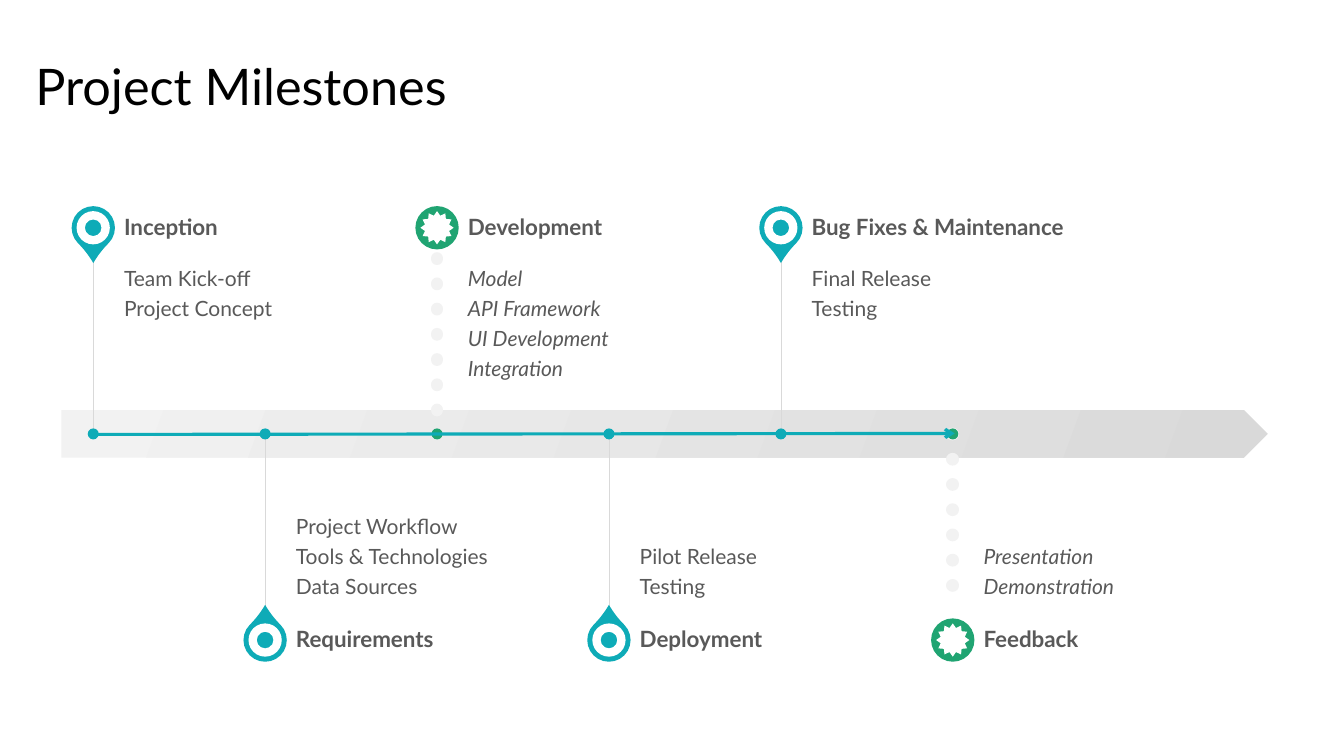
from pptx import Presentation, util as u
from pptx.dml.color import RGBColor
from pptx.enum import dml, shapes, text
from pptx.oxml import parse_xml
from pptx.oxml.ns import nsdecls

TEAL, GREEN, WHITE, GREY = "0EABB7", "20A472", "FFFFFF", "595959"
PALE, SILVER = "F2F2F2", "D9D9D9"
FONT = "Lato"
SHAPE, ANCHOR = shapes.MSO_SHAPE, text.MSO_ANCHOR

# Timeline grid: one column per milestone, rows mirrored about the axis
AXIS, FIRST, STEP = 4.305, 0.925, 1.705
BODY_H, HEAD_H, TEXT_W, TEXT_GAP = 1.74, 0.61, 2.82, 0.305
PIN, HOLE, DOT = 0.43, 0.33, 0.11

milestones = [
    ("Inception", ["Team Kick-off", "Project Concept"], False),
    ("Requirements", ["Project Workflow", "Tools & Technologies", "Data Sources"], False),
    ("Development", ["Model", "API Framework", "UI Development", "Integration"], True),
    ("Deployment", ["Pilot Release", "Testing"], False),
    ("Bug Fixes & Maintenance", ["Final Release", "Testing"], False),
    ("Feedback", ["Presentation", "Demonstration"], True),
]

deck = Presentation()
deck.slide_width, deck.slide_height = u.Inches(13.33), u.Inches(7.5)
slide = deck.slides.add_slide(deck.slide_layouts[5])


def rgb(value):
    return RGBColor.from_string(value)


def inches(*lengths):
    return [u.Inches(length) for length in lengths]


# Title
title = slide.shapes.title
title.left, title.top, title.width, title.height = inches(0.25, 0.16, 11.5, 1.45)
title.text_frame.text = "Project Milestones"
title.text_frame.auto_size = text.MSO_AUTO_SIZE.NONE
title.text_frame.vertical_anchor = ANCHOR.MIDDLE
heading = title.text_frame.paragraphs[0]
heading.alignment, heading.line_spacing = text.PP_ALIGN.LEFT, 0.9
heading.font.name, heading.font.size = FONT, u.Pt(36)
heading.font.color.rgb = rgb("000000")

# Arrow band behind the axis
band = slide.shapes.add_shape(SHAPE.PENTAGON, *inches(0.61, 4.07, 11.96, 0.47))
band.shadow.inherit = False
band.line.fill.background()
band.fill.gradient()
band.fill.gradient_angle = 340
for stop, shade in zip(band.fill.gradient_stops, (PALE, SILVER)):
    stop.color.rgb = rgb(shade)

# Milestones, alternately above and below the axis
connectors = []
for column, (name, tasks, starred) in enumerate(milestones):
    above = column % 2 == 0
    side = -1 if above else 1
    x = FIRST + column * STEP
    head_y = AXIS + side * (BODY_H + HEAD_H / 2)
    body_top = AXIS - BODY_H if above else AXIS
    accent = GREEN if starred else TEAL

    # Stem, drawn as round dots for starred milestones
    stem = slide.shapes.add_connector(
        shapes.MSO_CONNECTOR.STRAIGHT, *inches(x, body_top, x, body_top + BODY_H))
    stem.line.color.rgb = rgb(PALE if starred else SILVER)
    stem.line.width = u.Pt(9 if starred else 0.25)
    if starred:
        stem.line.dash_style = dml.MSO_LINE.ROUND_DOT
        stem.line._get_or_add_ln().set("cap", "rnd")
    connectors.append(stem)

    # Pin, its centre and the dot on the axis
    marks = [
        (SHAPE.OVAL if starred else SHAPE.TEAR, head_y, PIN, accent),
        (SHAPE.STAR_12_POINT if starred else SHAPE.DONUT, head_y, HOLE, WHITE),
        (SHAPE.OVAL, AXIS, DOT, accent),
    ]
    for kind, y, size, color in marks:
        mark = slide.shapes.add_shape(
            kind, *inches(x - size / 2, y - size / 2, size, size))
        mark.shadow.inherit = False
        mark.fill.solid()
        mark.fill.fore_color.rgb = rgb(color)
        mark.line.fill.background()
        if kind == SHAPE.TEAR:
            mark.adjustments[0] = 1.15
            mark.rotation = 135 if above else 315

    # Task list and name
    task_anchor = ANCHOR.TOP if above else ANCHOR.BOTTOM
    task_insets = (0, 0.1, 0.1, 0.16) if above else (0, 0.16, 0, 0.1)
    labels = [
        (tasks, body_top, BODY_H, task_anchor, task_insets, 15, False, starred),
        ([name], head_y - HEAD_H / 2, HEAD_H, ANCHOR.MIDDLE, (0, 0, 0.11, 0), 16, True, False),
    ]
    for lines, top, height, anchor, insets, size, bold, italic in labels:
        box = slide.shapes.add_textbox(*inches(x + TEXT_GAP, top, TEXT_W, height))
        frame = box.text_frame
        frame.text = "\n".join(lines)
        frame.word_wrap = True
        frame.vertical_anchor = anchor
        (frame.margin_left, frame.margin_top,
         frame.margin_right, frame.margin_bottom) = inches(*insets)
        for paragraph in frame.paragraphs:
            paragraph.line_spacing = 0.9
            paragraph.space_after = u.Pt(0.35 * size)
            for run in paragraph.runs:
                run.font.name, run.font.size = FONT, u.Pt(size)
                run.font.bold, run.font.italic = bold, italic
                run.font.color.rgb = rgb(GREY)

# Progress arrow along the axis
progress = slide.shapes.add_connector(
    shapes.MSO_CONNECTOR.STRAIGHT, *inches(0.93, 4.31, 9.47, 4.3))
progress.line.color.rgb = rgb(TEAL)
progress.line.width = u.Pt(2.25)
progress.line._get_or_add_ln().append(
    parse_xml(f'<a:tailEnd {nsdecls("a")} type="arrow"/>'))
connectors.append(progress)

# Flat connectors without the theme shadow
for connector in connectors:
    connector._element.spPr.append(parse_xml(f'<a:effectLst {nsdecls("a")}/>'))

deck.save("out.pptx")
